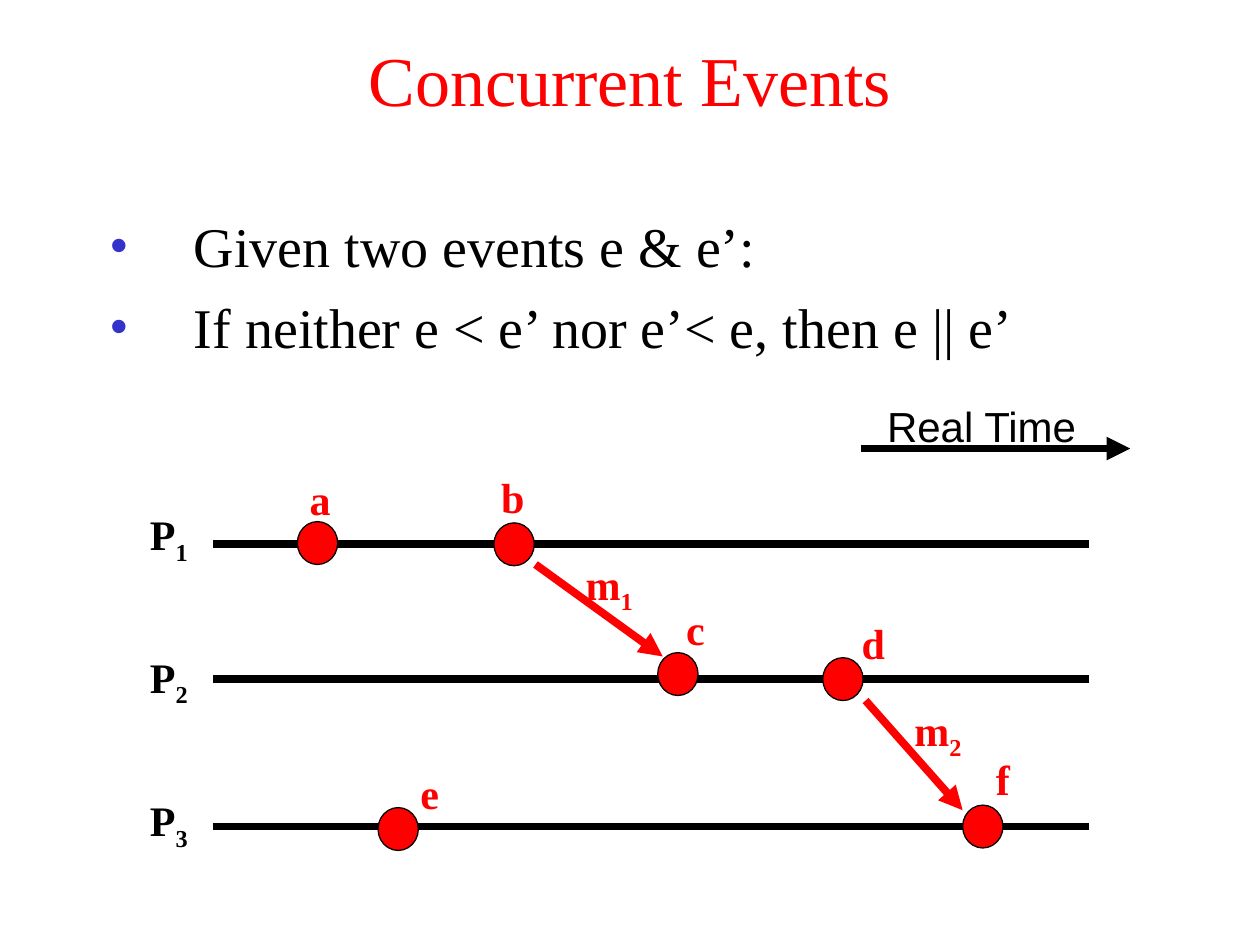
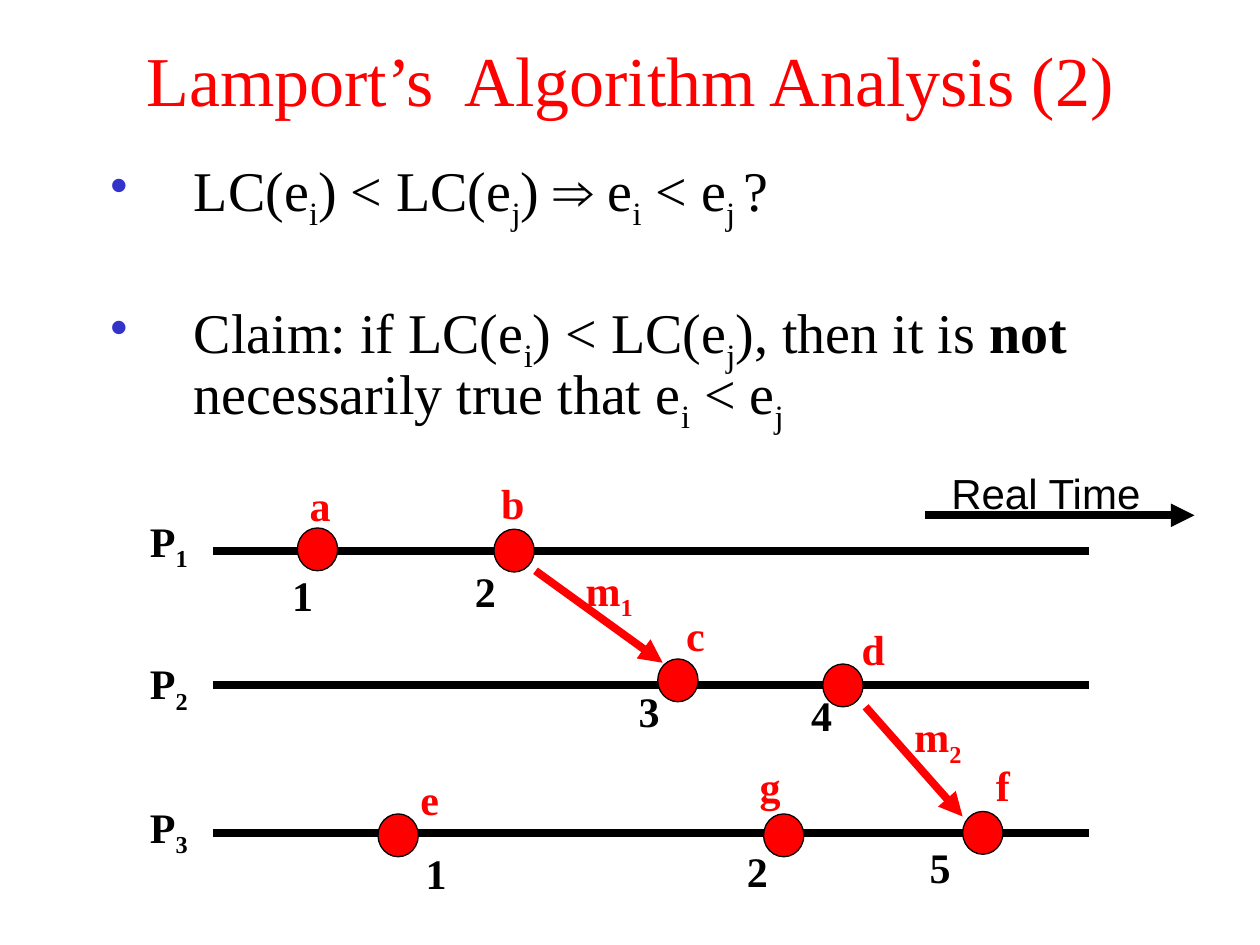
from collections import namedtuple

from lxml import etree
from pptx import Presentation, util as u
from pptx.dml.color import RGBColor
from pptx.enum import shapes, text
from pptx.oxml.ns import qn

RED, BLACK, BLUE = "FF0000", "000000", "3333CC"
SERIF, SANS = "Times New Roman", "Arial"
LEFT, RIGHT = 1.69, 8.64
DOT_W, DOT_H = 0.32, 0.34
ROWS = (0, 1.07, 2.24)          # process lines, below the first one
LABEL_TOPS = (-0.33, 0.8, 1.94)

# lift: dot centre against its line; tag and clock: offsets from the dot's corner
Event = namedtuple("Event", "name row x lift tag clock time")
EVENTS = [
    Event("a", 0, 2.36, -0.01, (0, -0.43), (-0.14, 0.28), 1),
    Event("b", 0, 3.92, 0, (-0.04, -0.46), (-0.25, 0.24), 2),
    Event("c", 1, 5.22, -0.04, (0.12, -0.44), (-0.25, 0.16), 3),
    Event("d", 1, 6.53, 0, (0.21, -0.37), (-0.19, 0.15), 4),
    Event("e", 2, 3, 0.02, (0.23, -0.37), (0.28, 0.22), 1),
    Event("f", 2, 7.64, 0, (0.14, -0.46), (-0.36, 0.19), 5),
]
EXTRA = Event("g", 2, 6.06, 0.02, (-0.13, -0.47), (-0.23, 0.2), 2)

# name, start, end, label corner; heights are below the first line
SENDS = [
    ("m~1", (4.25, 0.16), (5.26, 0.89), (4.51, 0.06)),
    ("m~2", (6.87, 1.24), (7.64, 2.11), (7.12, 1.22)),
]


def color(code):
    return RGBColor.from_string(code)


def inches(*vals):
    return [u.Inches(v) for v in vals]


def write(para, words, size, hue=BLACK, font=SERIF, bold=False):
    """Add runs to a paragraph; every second part between ~ marks is a subscript."""
    for i, part in enumerate(words.split("~")):
        if not part:
            continue
        run = para.add_run()
        run.text = part
        style = {"size": u.Pt(size), "name": font, "bold": bold}
        for key, val in style.items():
            setattr(run.font, key, val)
        run.font.color.rgb = color(hue)
        if i % 2:
            run.font._element.set("baseline", "-25000")


def label(slide, words, x, y, w=0.36, h=0.5, hue=BLACK, font=SERIF, bold=True):
    box = slide.shapes.add_textbox(*inches(x, y, w, h))
    frame = box.text_frame
    frame.word_wrap = False
    frame.auto_size = text.MSO_AUTO_SIZE.SHAPE_TO_FIT_TEXT
    para = frame.paragraphs[0]
    para.alignment = text.PP_ALIGN.CENTER
    write(para, words, 24, hue, font, bold)


def line(slide, start, end, hue=BLACK, arrow=False):
    link = slide.shapes.add_connector(
        shapes.MSO_CONNECTOR.STRAIGHT, *inches(*start, *end))
    link.line.width = u.Pt(4.5)
    link.line.color.rgb = color(hue)
    if arrow:
        etree.SubElement(link.line._get_or_add_ln(), qn("a:tailEnd"), type="triangle")
    etree.SubElement(link._element.spPr, qn("a:effectLst"))


def dot(slide, x, y):
    oval = slide.shapes.add_shape(
        shapes.MSO_SHAPE.OVAL, *inches(x, y, DOT_W, DOT_H))
    oval.shadow.inherit = False
    oval.fill.solid()
    oval.fill.fore_color.rgb = color(RED)
    oval.line.color.rgb = color(BLACK)
    oval.line.width = u.Pt(0.75)


def start_slide(deck, words):
    slide = deck.slides.add_slide(deck.slide_layouts[5])
    title = slide.shapes.title
    spot = inches(0, 0, 10, 1.25)
    for key, val in zip(("left", "top", "width", "height"), spot):
        setattr(title, key, val)
    frame = title.text_frame
    frame.vertical_anchor = text.MSO_ANCHOR.MIDDLE
    para = frame.paragraphs[0]
    para.alignment = text.PP_ALIGN.CENTER
    write(para, words, 40, RED)
    return slide


def bullet(para):
    props = para._p.get_or_add_pPr()
    props.set("marL", str(u.Inches(0.67)))
    props.set("indent", str(u.Inches(-0.67)))
    tint = etree.SubElement(props, qn("a:buClr"))
    etree.SubElement(tint, qn("a:srgbClr"), val=BLUE)
    etree.SubElement(props, qn("a:buFont"), typeface=SERIF)
    etree.SubElement(props, qn("a:buChar"), char="•")


def points(slide, top, height, items, gap=8, spacing=1.0):
    """Bulleted text; an item is a list of (words, run format) pairs."""
    box = slide.shapes.add_textbox(*inches(0.77, top, 8.59, height))
    frame = box.text_frame
    frame.word_wrap = True
    for i, item in enumerate(items):
        para = frame.add_paragraph() if i else frame.paragraphs[0]
        para.line_spacing = spacing
        para.space_before = u.Pt(gap if i else 8)
        bullet(para)
        for words, style in item:
            write(para, words, 32, **style)


def diagram(slide, top, events, clocks=False):
    """Process lines with events and messages; top is the first line's height."""
    for i, (row, tag) in enumerate(zip(ROWS, LABEL_TOPS), 1):
        line(slide, (LEFT, top + row), (RIGHT, top + row))
        label(slide, f"P~{i}", 1.04, top + tag, 0.6, 0.56)
    for ev in events:
        y = top + ROWS[ev.row] + ev.lift - DOT_H / 2
        dot(slide, ev.x, y)
        label(slide, ev.name, ev.x + ev.tag[0], y + ev.tag[1], hue=RED)
        if clocks:
            label(slide, str(ev.time), ev.x + ev.clock[0], y + ev.clock[1])
    for name, (x1, y1), (x2, y2), (x, y) in SENDS:
        line(slide, (x1, top + y1), (x2, top + y2), RED, True)
        label(slide, name, x, top + y, 0.65, 0.56, RED)


def time_axis(slide, x, y):
    line(slide, (x, y), (x + 2.14, y), arrow=True)
    label(slide, "Real Time", x + 0.1, y - 0.43, 1.72, font=SANS, bold=False)


def main():
    deck = Presentation()
    deck.slide_width, deck.slide_height = inches(10, 7.5)

    slide = start_slide(deck, "Concurrent Events")
    points(slide, 1.63, 1.81, [
        [("Given two events e & e’:", {})],
        [("If neither e < e’ nor e’< e, then e || e’", {})],
    ])
    time_axis(slide, 6.83, 3.56)
    diagram(slide, 4.32, EVENTS)

    slide = start_slide(deck, "Lamport’s  Algorithm Analysis (2)")
    points(slide, 1.24, 2.4, [
        [("LC(e~i~) < LC(e~j~) ", {}), ("⇒", {"font": SANS}),
         (" e~i~ < e~j ~?", {})],
        [("Claim: if LC(e~i~) < LC(e~j~), then it is ", {}),
         ("not", {"bold": True}),
         (" necessarily true that e~i~ < e~j", {})],
    ], gap=46, spacing=0.8)
    time_axis(slide, 7.34, 4.09)
    diagram(slide, 4.37, EVENTS + [EXTRA], clocks=True)

    deck.save("out.pptx")


if __name__ == "__main__":
    main()
